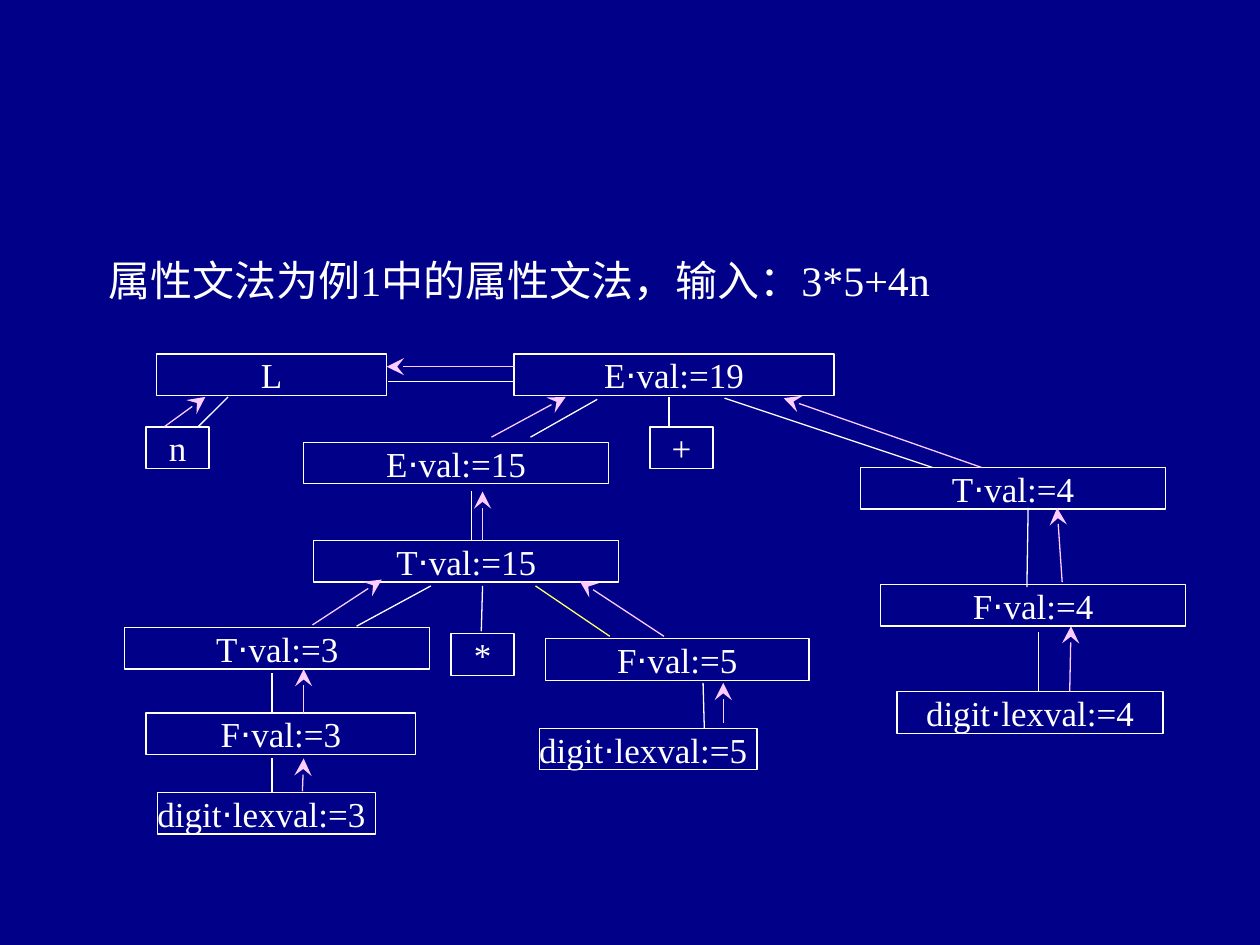
import pptx
import pptx.dml.color
import pptx.enum.shapes
import pptx.enum.text
import pptx.oxml.ns
import pptx.util
from lxml import etree
from pptx.util import Inches

NAVY, WHITE, PINK, YELLOW = "000088", "FFFFFF", "FFCCFF", "FFFF66"
SERIF, SANS = "Times New Roman", "Arial"
NODE_HEIGHT = 0.33
DOT = "⋅"

# Label, left, top, width; all lengths are inches from the tree's corner.
NODES = [
    ("L", 0.25, 0, 1.83),
    ("E⋅val:=19", 3.09, 0, 2.54),
    ("n", 0.17, 0.58, 0.5),
    ("+", 4.17, 0.58, 0.5),
    ("E⋅val:=15", 1.42, 0.7, 2.42),
    ("T⋅val:=4", 5.84, 0.9, 2.42),
    ("T⋅val:=15", 1.5, 1.48, 2.42),
    ("F⋅val:=4", 6, 1.83, 2.42),
    ("T⋅val:=3", 0, 2.17, 2.42),
    ("*", 2.59, 2.22, 0.5),
    ("F⋅val:=5", 3.34, 2.26, 2.09),
    ("digit⋅lexval:=4", 6.13, 2.68, 2.11),
    ("F⋅val:=3", 0.17, 2.85, 2.14),
    ("digit⋅lexval:=5", 3.29, 2.97, 1.73),
    ("digit⋅lexval:=3", 0.26, 3.48, 1.73),
]
LEFT_ALIGNED = {"digit⋅lexval:=5", "digit⋅lexval:=3"}

# Start x, y and end x, y.
BRANCHES = [
    (3.09, 0.22, 2.09, 0.22),
    (0.82, 0.34, 0.58, 0.58),
    (3.75, 0.36, 3.22, 0.66),
    (4.32, 0.34, 4.32, 0.58),
    (4.76, 0.35, 6.41, 0.9),
    (2.75, 1.48, 2.75, 1.09),
    (2.43, 1.84, 1.84, 2.16),
    (2.84, 1.84, 2.83, 2.2),
    (1.17, 2.85, 1.17, 2.53),
    (1.17, 3.48, 1.17, 3.21),
    (4.6, 2.97, 4.59, 2.61),
    (7.16, 1.85, 7.17, 1.22),
    (7.25, 2.68, 7.25, 2.21),
]
YELLOW_BRANCH = (3.26, 1.84, 3.85, 2.24)

# Each value passes from a child up to its parent.
VALUE_FLOWS = [
    (3.1, 0.1, 2.08, 0.1),
    (0.31, 0.58, 0.64, 0.34),
    (2.91, 0.66, 3.5, 0.34),
    (6.8, 0.9, 5.23, 0.35),
    (2.84, 1.48, 2.84, 1.09),
    (1.49, 2.15, 2.04, 1.79),
    (4.28, 2.24, 3.61, 1.8),
    (1.42, 2.86, 1.42, 2.5),
    (1.41, 3.47, 1.42, 3.21),
    (4.75, 2.93, 4.75, 2.61),
    (7.44, 1.81, 7.4, 1.22),
    (7.5, 2.68, 7.51, 2.16),
]


def color(value):
    return pptx.dml.color.RGBColor.from_string(value)


def add_run(p, text, size, font=SERIF):
    r = p.add_run()
    r.text = text
    r.font.size = pptx.util.Pt(size)
    r.font.name = font
    r.font.color.rgb = color(WHITE)


def clear_margins(tf):
    tf.margin_left = tf.margin_right = tf.margin_top = tf.margin_bottom = 0


def add_heading(slide, left, top, width, height):
    sp = slide.shapes.add_textbox(Inches(left), Inches(top), Inches(width), Inches(height))
    tf = sp.text_frame
    clear_margins(tf)
    tf.word_wrap = False
    add_run(tf.paragraphs[0], "属性文法为例1中的属性文法，输入：3*5+4n", 24)


def add_node(slide, label, left, top, width):
    sp = slide.shapes.add_shape(pptx.enum.shapes.MSO_SHAPE.RECTANGLE, Inches(left),
                                Inches(top), Inches(width), Inches(NODE_HEIGHT))
    sp.shadow.inherit = False
    sp.fill.solid()
    sp.fill.fore_color.rgb = color(NAVY)
    sp.line.color.rgb = color(WHITE)
    sp.line.width = pptx.util.Pt(0.75)
    tf = sp.text_frame
    clear_margins(tf)
    tf.word_wrap = True
    tf.vertical_anchor = pptx.enum.text.MSO_ANCHOR.MIDDLE
    p = tf.paragraphs[0]
    align = pptx.enum.text.PP_ALIGN
    p.alignment = align.LEFT if label in LEFT_ALIGNED else align.CENTER
    symbol, dot, rest = label.partition(DOT)
    add_run(p, symbol, 20)
    if dot:
        add_run(p, dot, 20, SANS)
        add_run(p, rest, 20)


def add_line(slide, left, top, ends, line_color, arrow=False):
    """Draw a line whose ends are measured from (left, top)."""
    x1, y1, x2, y2 = ends
    line = slide.shapes.add_connector(
        pptx.enum.shapes.MSO_CONNECTOR.STRAIGHT, Inches(left + x1), Inches(top + y1),
        Inches(left + x2), Inches(top + y2))
    line.line.color.rgb = color(line_color)
    line.line.width = pptx.util.Pt(0.75)
    qn = pptx.oxml.ns.qn
    if arrow:
        etree.SubElement(line.line._get_or_add_ln(), qn("a:tailEnd"),
                         type="stealth", w="lg", len="lg")
    etree.SubElement(line._element.spPr, qn("a:effectLst"))


def add_parse_tree(slide, left, top):
    for label, x, y, width in NODES:
        add_node(slide, label, left + x, top + y, width)
    for ends in BRANCHES:
        add_line(slide, left, top, ends, WHITE)
    add_line(slide, left, top, YELLOW_BRANCH, YELLOW)
    for ends in VALUE_FLOWS:
        add_line(slide, left, top, ends, PINK, arrow=True)


def main():
    prs = pptx.Presentation()
    prs.slide_width, prs.slide_height = Inches(10), Inches(7.5)
    slide = prs.slides.add_slide(prs.slide_layouts[6])
    slide.background.fill.solid()
    slide.background.fill.fore_color.rgb = color(NAVY)
    add_heading(slide, 0.86, 2.02, 6.76, 0.4)
    add_parse_tree(slide, 0.99, 2.81)
    prs.save("out.pptx")


if __name__ == "__main__":
    main()
